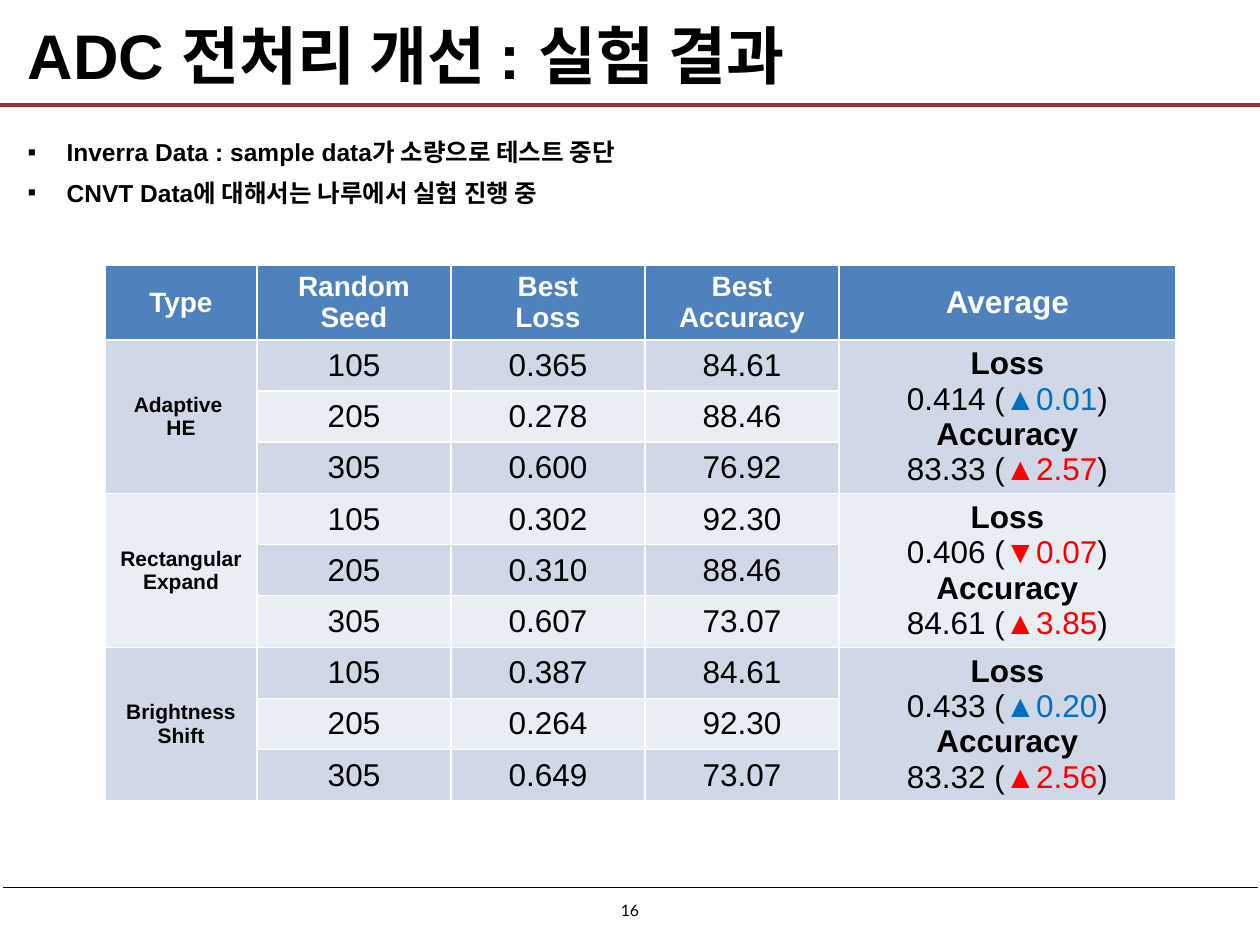
"""Build the ADC preprocessing results slide."""
import pptx
import pptx.util
import pptx.dml.color
import pptx.enum.shapes
import pptx.enum.text
import pptx.oxml
import pptx.oxml.ns
from lxml import etree

TITLE = "ADC 전처리 개선 : 실험 결과"
BULLETS = ["Inverra Data : sample data가 소량으로 테스트 중단",
           "CNVT Data에 대해서는 나루에서 실험 진행 중"]
PAGE = "16"
HEADERS = ["Type", "Random\nSeed", "Best\vLoss", "Best\vAccuracy", "Average"]
SEEDS = ["105", "205", "305"]
GROUPS = [
    {"name": "Adaptive \nHE",
     "results": [("0.365", "84.61"), ("0.278", "88.46"), ("0.600", "76.92")],
     "average": [("Loss", "0.414", "▲0.01", "blue"), ("Accuracy", "83.33", "▲2.57", "red")]},
    {"name": "Rectangular Expand",
     "results": [("0.302", "92.30"), ("0.310", "88.46"), ("0.607", "73.07")],
     "average": [("Loss", "0.406", "▼0.07", "red"), ("Accuracy", "84.61", "▲3.85", "red")]},
    {"name": "Brightness Shift",
     "results": [("0.387", "84.61"), ("0.264", "92.30"), ("0.649", "73.07")],
     "average": [("Loss", "0.433", "▲0.20", "blue"), ("Accuracy", "83.32", "▲2.56", "red")]},
]
COLORS = {"black": "000000", "white": "FFFFFF", "brown": "953735", "header": "4F81BD",
          "dark": "D0D8E8", "light": "E9EDF4", "blue": "0070C0", "red": "FF0000"}
RULES = [(0, 105, 1260, "brown", 2.25), (3, 887, 1258, "brown", 0.5),
         (3, 887, 1258, "black", 0.5)]
COL_WIDTHS = [152, 194, 194, 194, 337]
TABLE_X, TABLE_Y, HEADER_H, ROW_H = 105, 265, 74, 51
BANDS = ["dark", "light"]
CENTER = pptx.enum.text.PP_ALIGN.CENTER
MIDDLE = pptx.enum.text.MSO_ANCHOR.MIDDLE


def px(n):
    return pptx.util.Emu(n * 914400 // 126)


def rgb(name):
    return pptx.dml.color.RGBColor.from_string(COLORS[name])


def style(p, size, bold=True, color="black", font="Arial"):
    for r in p.runs:
        r.font.size = pptx.util.Pt(size)
        r.font.bold = bold
        r.font.name = font
        r.font.color.rgb = rgb(color)


def place(sp, x, y, w, h):
    sp.left, sp.top, sp.width, sp.height = px(x), px(y), px(w), px(h)
    sp.text_frame.auto_size = pptx.enum.text.MSO_AUTO_SIZE.NONE
    sp.text_frame.word_wrap = True
    return sp.text_frame


def add_rule(s, x1, y, x2, color, width):
    line = s.shapes.add_connector(pptx.enum.shapes.MSO_CONNECTOR.STRAIGHT,
                                  px(x1), px(y), px(x2), px(y))
    line.line.color.rgb = rgb(color)
    line.line.width = pptx.util.Pt(width)
    etree.SubElement(line._element.spPr, pptx.oxml.ns.qn("a:effectLst"))


def add_bullet(p):
    pPr = p._p.get_or_add_pPr()
    pPr.set("marL", str(px(39)))
    pPr.set("indent", str(-px(39)))
    etree.SubElement(pPr, pptx.oxml.ns.qn("a:buFont")).set("typeface", "Arial")
    etree.SubElement(pPr, pptx.oxml.ns.qn("a:buChar")).set("char", "▪")


def paint_cell(cell, fill):
    cell.fill.solid()
    cell.fill.fore_color.rgb = rgb(fill)
    cell.vertical_anchor = MIDDLE


def set_cell(cell, text, fill, size, bold=True, color="black"):
    paint_cell(cell, fill)
    cell.text_frame.text = text
    for p in cell.text_frame.paragraphs:
        p.alignment = CENTER
        style(p, size, bold, color)


def set_average(cell, average, fill):
    lines = [text for label, value, _, _ in average for text in (label, value + " (")]
    set_cell(cell, "\n".join(lines), fill, 18)
    for p, (_, _, change, color) in zip(cell.text_frame.paragraphs[1::2], average):
        for text in (change, ")"):
            p.add_run().text = text
        style(p, 18, False)
        p.runs[1].font.color.rgb = rgb(color)


def add_results(s):
    n = len(SEEDS)
    rows = 1 + n * len(GROUPS)
    table = s.shapes.add_table(rows, len(HEADERS), px(TABLE_X), px(TABLE_Y),
                               px(sum(COL_WIDTHS)), px(HEADER_H + ROW_H * (rows - 1))).table
    for col, width in zip(table.columns, COL_WIDTHS):
        col.width = px(width)
    for i, row in enumerate(table.rows):
        row.height = px(ROW_H if i else HEADER_H)
    last = len(HEADERS) - 1
    for c, text in enumerate(HEADERS):
        set_cell(table.cell(0, c), text, "header", 18 if c == last else 16, color="white")
    for g, group in enumerate(GROUPS):
        top = 1 + g * n
        for i, (seed, result) in enumerate(zip(SEEDS, group["results"])):
            band = BANDS[(top + i - 1) % 2]
            for c, text in enumerate((seed, *result), 1):
                set_cell(table.cell(top + i, c), text, band, 18, False)
            for c in (0, last):
                paint_cell(table.cell(top + i, c), BANDS[g % 2])
        for c in (0, last):
            table.cell(top, c).merge(table.cell(top + n - 1, c))
        set_cell(table.cell(top, 0), group["name"], BANDS[g % 2], 12)
        set_average(table.cell(top, last), group["average"], BANDS[g % 2])


def main():
    prs = pptx.Presentation()
    prs.slide_width, prs.slide_height = px(1260), px(945)
    s = prs.slides.add_slide(prs.slide_layouts[1])

    for rule in RULES:
        add_rule(s, *rule)

    tf = place(s.shapes.title, 15, 13, 1230, 83)
    tf.text = TITLE
    tf.vertical_anchor = MIDDLE
    tf.paragraphs[0].alignment = pptx.enum.text.PP_ALIGN.LEFT
    style(tf.paragraphs[0], 36)

    tf = place(s.placeholders[1], 15, 125, 1231, 110)
    tf.text = "\n".join(BULLETS)
    for p in tf.paragraphs:
        p.alignment = pptx.enum.text.PP_ALIGN.JUSTIFY
        p.line_spacing = 1.2
        p.space_before = pptx.util.Pt(3)
        add_bullet(p)
        style(p, 14)

    add_results(s)

    tf = place(s.shapes.add_textbox(0, 0, 0, 0), 586, 895, 88, 31)
    tf.text = PAGE
    tf.paragraphs[0].alignment = CENTER
    style(tf.paragraphs[0], 9, False, font="Lato")

    prs.save("out.pptx")


if __name__ == "__main__":
    main()
